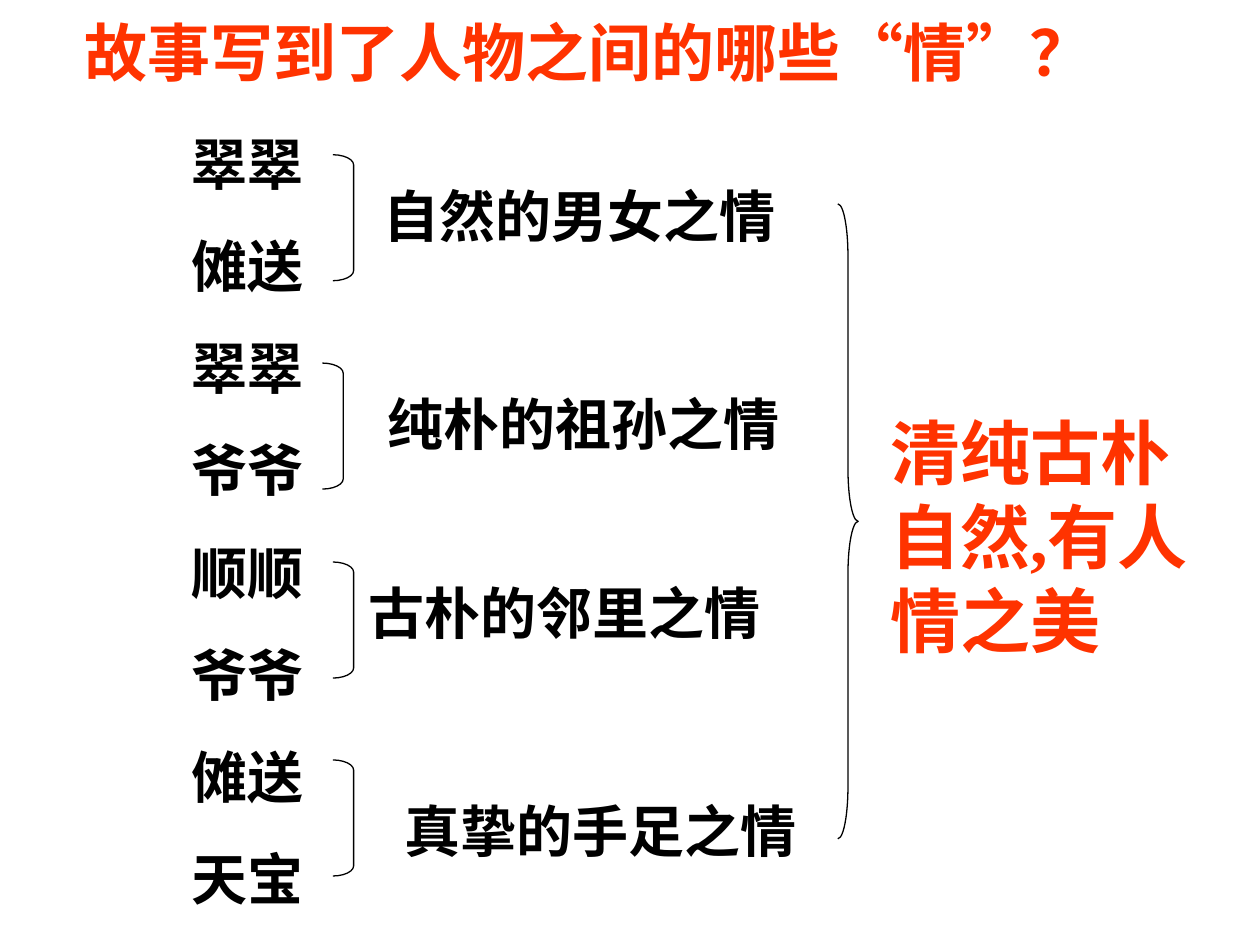
from lxml.etree import SubElement
from pptx import Presentation
from pptx.dml.color import RGBColor
from pptx.enum.shapes import MSO_SHAPE
from pptx.enum.text import MSO_ANCHOR, MSO_AUTO_SIZE, PP_ALIGN
from pptx.oxml.ns import qn
from pptx.util import Cm, Pt

RED, BLACK = "FF3300", "000000"
SERIF, SANS, CHINESE = "Times New Roman", "Arial", "Noto Sans CJK SC"

PEOPLE = ["翠翠", "傩送", "翠翠", "爷爷", "顺顺", "爷爷", "傩送", "天宝"]
# bracket left, top, height; label offset right, down; label; font
BONDS = [
    (6.71, 3.12, 2.54, 0.78, 0.41, "自然的男女之情", SERIF),
    (6.50, 7.32, 2.54, 1.07, 0.40, "纯朴的祖孙之情", SERIF),
    (6.71, 11.33, 2.34, 0.47, 0.20, "古朴的邻里之情", CHINESE),
    (6.71, 15.32, 2.34, 1.19, 0.61, "真挚的手足之情", CHINESE),
]


def color(code):
    return RGBColor.from_string(code)


def write(frame, lines, size, code, font, gap=0):
    """Fill a text frame with bold left-aligned lines, gap points apart."""
    frame.vertical_anchor = MSO_ANCHOR.TOP
    frame.auto_size = MSO_AUTO_SIZE.NONE
    frame.text = "\n".join(lines)
    for index, para in enumerate(frame.paragraphs):
        para.alignment = PP_ALIGN.LEFT
        para.space_before = Pt(gap if index else 0)
        para.font.size = Pt(size)
        para.font.bold = True
        para.font.color.rgb = color(code)
        para.font.name = font
        run_defaults = para._p.pPr.find(qn("a:defRPr"))
        SubElement(run_defaults, qn("a:ea"), typeface=CHINESE)


def add_text(page, left, top, width, height, lines, size, code, font, gap=0):
    box = page.shapes.add_textbox(Cm(left), Cm(top), Cm(width), Cm(height))
    box.text_frame.word_wrap = True
    write(box.text_frame, lines, size, code, font, gap)


def add_bracket(page, kind, left, top, width, height, adjustments):
    bracket = page.shapes.add_shape(kind, Cm(left), Cm(top), Cm(width), Cm(height))
    for index, value in enumerate(adjustments):
        bracket.adjustments[index] = value
    bracket.shadow.inherit = False
    bracket.fill.background()
    bracket.line.color.rgb = color(BLACK)
    bracket.line.width = Pt(0.75)


def add_title(page, left, top, width, height):
    title = page.shapes.title
    title.left, title.top = Cm(left), Cm(top)
    title.width, title.height = Cm(width), Cm(height)
    write(title.text_frame, ["故事写到了人物之间的哪些“情”？"], 36, RED, SANS)
    title.text_frame.word_wrap = False


def add_bond(page, left, top, height, right, down, label, font):
    """Bracket a pair of people and name the feeling between them."""
    add_bracket(page, MSO_SHAPE.RIGHT_BRACKET, left, top, 0.42, height, [0.49])
    add_text(page, left + right, top + down, 10, 1.63, [label], 32, BLACK, font)


def add_summary(page, left, top, height):
    """Brace all the feelings together and state what they share."""
    add_bracket(page, MSO_SHAPE.RIGHT_BRACE, left, top, 0.41, height, [2.6, 0.5])
    add_text(page, left + 0.81, top + 4.02, 6.63, 5.33,
             ["清纯古朴自然,有人情之美"], 40, RED, SERIF)


def main():
    deck = Presentation()
    deck.slide_width, deck.slide_height = Cm(25.4), Cm(19.05)
    page = deck.slides.add_slide(deck.slide_layouts[5])
    add_title(page, 1.45, 0.15, 20.83, 1.78)
    add_text(page, 3.62, 2.48, 2.9, 16, PEOPLE, 32, BLACK, SERIF, gap=20)
    for bond in BONDS:
        add_bond(page, *bond)
    add_summary(page, 16.89, 4.11, 12.8)
    deck.save("out.pptx")


if __name__ == "__main__":
    main()
